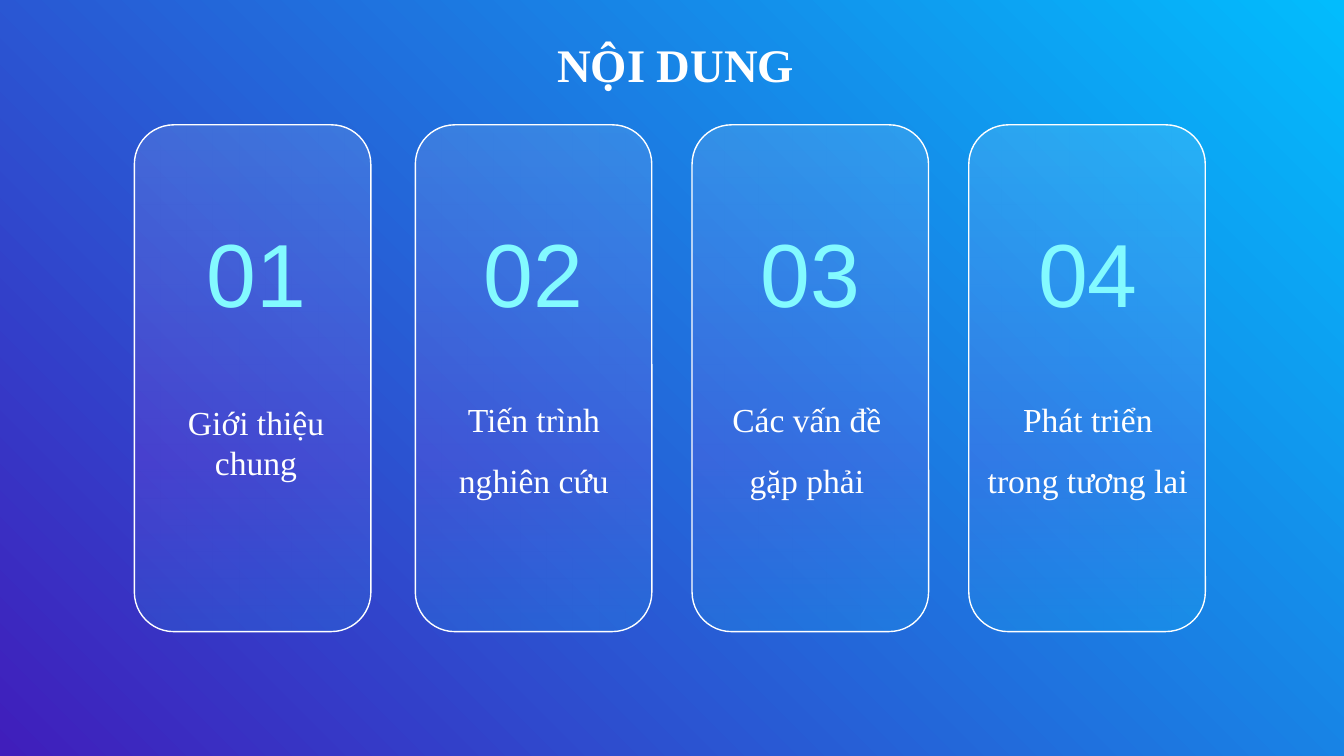
from lxml import etree
from pptx import Presentation
from pptx import util as u
from pptx.dml.color import RGBColor
from pptx.enum import shapes, text
from pptx.oxml.ns import qn

WHITE, AQUA = "FFFFFF", "83FAFF"
SERIF, SANS = "Times New Roman", "Arial"
CARD_STOPS = [(0, WHITE, 11), (66, "E354F7", 11), (100, "10ECFF", 11)]
PAGE_STOPS = [(0, "401EBB", 100), (100, "02BCFD", 100)]
NUMBER_LEFT, NUMBER_STEP = 2.87, 5.24

# card left, label left, label top, label bottom, line spacing, label
CHAPTERS = [
    (2.54, 2.67, 7.37, 9.37, 1, "Giới thiệu chung"),
    (7.85, 7.92, 7.37, 9.7, 1.5, "Tiến trình nghiên cứu"),
    (13.08, 13.08, 8.08, 9.7, 1.5, "Các vấn đề gặp phải"),
    (18.31, 18.39, 7.39, 9.7, 1.5, "Phát triển trong tương lai"),
]


def color(value):
    return RGBColor.from_string(value)


def paint_gradient(fill, element, stops, angle):
    """Fill with (position %, colour, opacity %) stops; angle is counter-clockwise."""
    fill.gradient()
    fill.gradient_angle = angle
    stop_list = next(element.iter(qn("a:gsLst")))
    for old_stop in list(stop_list):
        stop_list.remove(old_stop)
    for position, value, opacity in stops:
        stop = etree.SubElement(stop_list, qn("a:gs"), pos=str(position * 1000))
        tint = etree.SubElement(stop, qn("a:srgbClr"), val=value)
        if opacity < 100:
            etree.SubElement(tint, qn("a:alpha"), val=str(opacity * 1000))


def add_card(page, left):
    card = page.shapes.add_shape(
        shapes.MSO_SHAPE.ROUNDED_RECTANGLE,
        u.Cm(left), u.Cm(2.36), u.Cm(4.47), u.Cm(9.58))
    card.adjustments[0] = 0.167
    card.shadow.inherit = False
    paint_gradient(card.fill, card.element, CARD_STOPS, 270)
    card.line.color.rgb = color(WHITE)
    card.line.width = u.Pt(0.75)


def add_text(page, words, left, top, width, height, size, font=SERIF,
             ink=WHITE, bold=False, spacing=1, anchor=text.MSO_ANCHOR.BOTTOM):
    box = page.shapes.add_textbox(u.Cm(left), u.Cm(top), u.Cm(width), u.Cm(height))
    frame = box.text_frame
    frame.word_wrap = True
    frame.vertical_anchor = anchor
    frame.margin_left = frame.margin_right = u.Cm(0.25)
    frame.margin_top = frame.margin_bottom = u.Cm(0.25)
    para = frame.paragraphs[0]
    para.text = words
    para.alignment = text.PP_ALIGN.CENTER
    para.line_spacing = spacing
    para.font.name = font
    para.font.size = u.Pt(size)
    para.font.bold = bold
    para.font.color.rgb = color(ink)


def main():
    deck = Presentation()
    deck.slide_width, deck.slide_height = u.Cm(25.4), u.Cm(14.29)
    page = deck.slides.add_slide(deck.slide_layouts[6])
    paint_gradient(page.background.fill, page.element, PAGE_STOPS, 45)

    add_text(page, "NỘI DUNG", 10.08, 0.43, 5.38, 1.35, 25, bold=True,
             anchor=text.MSO_ANCHOR.TOP)
    for index, chapter in enumerate(CHAPTERS):
        card_left, label_left, top, bottom, spacing, label = chapter
        add_card(page, card_left)
        add_text(page, f"{index + 1:02}", NUMBER_LEFT + index * NUMBER_STEP,
                 3.45, 3.94, 2.95, 48, SANS, AQUA)
        add_text(page, label, label_left, top, 4.34, bottom - top, 18,
                 spacing=spacing)

    deck.save("out.pptx")


if __name__ == "__main__":
    main()
